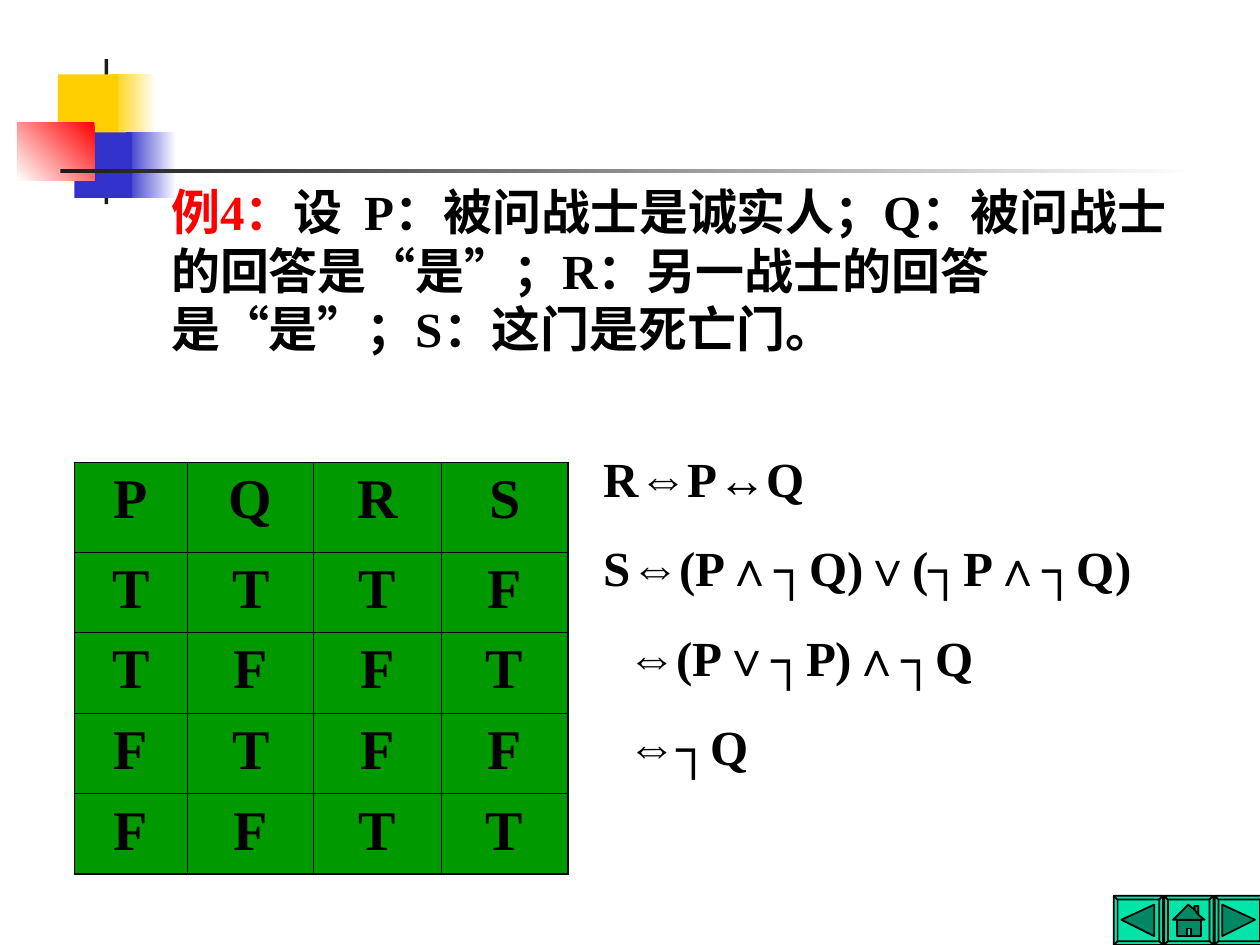
import copy
import pptx
import pptx.util
import pptx.dml.color
import pptx.enum.shapes
import pptx.enum.text
import pptx.oxml
import pptx.oxml.ns

Inches = pptx.util.Inches
Pt = pptx.util.Pt
qn = pptx.oxml.ns.qn

COLORS = {
    "white": "FFFFFF", "black": "000000", "ink": "1C1C1C", "yellow": "FFCF01",
    "blue": "3333CC", "red": "FF0000", "green": "009900", "mint": "00E4A8",
}
SERIF, SYMBOL = "Times New Roman", "Arial"

DECORATION = [
    ((0.88, 0.59, 0.36, 0.52), ("yellow", "white"), 0),
    ((1.0, 1.05, 0.4, 0.52), ("blue", "white"), 0),
    ((0.83, 0.47, 0.03, 1.15), ("ink",), 0),
    ((0.46, 0.59, 0.48, 0.52), ("yellow",), 0),
    ((0.59, 1.05, 0.46, 0.52), ("blue",), 0),
    ((0.14, 0.97, 0.61, 0.46), ("red", "white"), 225),
    ((0.48, 1.34, 9.0, 0.03), ("ink", "white"), 0),
]

PREMISES = [
    ("例4：", "red"),
    ("设  P：被问战士是诚实人；Q：被问战士的回答是“是”；R：另一战士的回答是“是”；S：这门是死亡门。", "black"),
]

TRUTH_TABLE = ["PQRS", "TTTF", "TFFT", "FTFF", "FFTT"]
COLUMN_WIDTHS = [0.9, 1.0, 1.01, 1.01]
ROW_HEIGHTS = [0.71] + [0.64] * 4
OUTER_BORDER, INNER_BORDER = 1.08, 0.45

FORMULAS = [
    (0, ["R", "⇔", "P", "↔", "Q"]),
    (0, ["S", "⇔", "(P∧┐Q)∨(┐P∧┐Q)"]),
    (0.19, ["⇔", "(P∨┐P)∧┐Q"]),
    (0.19, ["⇔", "┐Q"]),
]

BUTTON_LEFT, BUTTON_TOP, BUTTON_STEP = 8.84, 7.11, 0.4
BUTTON_SIZE, BEVEL = 0.39, 0.03
BUTTON_ICONS = [
    [("darken", [(0.06, 0.19), (0.32, 0.07), (0.32, 0.32)])],
    [
        ("darken", [(0.19, 0.07), (0.24, 0.11), (0.24, 0.08), (0.27, 0.08), (0.27, 0.15),
                    (0.32, 0.19), (0.07, 0.19)]),
        ("darken", [(0.24, 0.11), (0.24, 0.08), (0.27, 0.08), (0.27, 0.15)]),
        ("darken", [(0.1, 0.19), (0.29, 0.19), (0.29, 0.32), (0.1, 0.32)]),
        ("norm", [(0.18, 0.26), (0.21, 0.26), (0.21, 0.32), (0.18, 0.32)]),
    ],
    [("darken", [(0.06, 0.07), (0.32, 0.19), (0.06, 0.32)])],
]


def rgb(name):
    return pptx.dml.color.RGBColor.from_string(COLORS[name])


def add_span(para, text, size, color="black", font=SERIF):
    span = para.add_run()
    span.text = text
    span.font.size = Pt(size)
    span.font.name = font
    span.font.bold = True
    span.font.color.rgb = rgb(color)


def add_text_box(page, place):
    box = page.shapes.add_textbox(*map(Inches, place))
    box.text_frame.word_wrap = True
    return box.text_frame


def add_block(page, place, names, angle):
    block = page.shapes.add_shape(pptx.enum.shapes.MSO_SHAPE.RECTANGLE, *map(Inches, place))
    block.shadow.inherit = False
    block.line.fill.background()
    if len(names) == 1:
        block.fill.solid()
        block.fill.fore_color.rgb = rgb(names[0])
        return
    block.fill.gradient()
    block.fill.gradient_angle = angle
    for stop, name, position in zip(block.fill.gradient_stops, names, (0, 1)):
        stop.color.rgb = rgb(name)
        stop.position = position


def button_outlines():
    near, far = BEVEL, BUTTON_SIZE - BEVEL
    outer = [(0, 0), (BUTTON_SIZE, 0), (BUTTON_SIZE, BUTTON_SIZE), (0, BUTTON_SIZE)]
    inner = [(near, near), (far, near), (far, far), (near, far)]
    sides = [[outer[i - 1], outer[i], inner[i], inner[i - 1]] for i in range(4)]
    return [("norm", outline) for outline in [outer] + sides]


def add_button(page, left, top, icon):
    outlines = button_outlines() + icon
    builder = None
    for shade, outline in outlines:
        points = [(Inches(left + x), Inches(top + y)) for x, y in outline]
        if builder is None:
            builder = page.shapes.build_freeform(*points[0])
        else:
            builder.move_to(*points[0])
        builder.add_line_segments(points[1:], close=True)
    button = builder.convert_to_shape()
    button.shadow.inherit = False
    button.fill.solid()
    button.fill.fore_color.rgb = rgb("mint")
    button.line.color.rgb = rgb("black")
    button.line.width = Pt(1)
    split_outlines(button, [shade for shade, outline in outlines])


def split_outlines(button, shades):
    whole = next(button._element.iter(qn("a:path")))
    holder = whole.getparent()
    steps = list(whole)
    for step in steps:
        whole.remove(step)
    empty = copy.deepcopy(whole)
    holder.remove(whole)
    remaining = iter(shades)
    for step in steps:
        if step.tag == qn("a:moveTo"):
            part = copy.deepcopy(empty)
            part.set("fill", next(remaining))
            holder.append(part)
        part.append(step)


def add_border(cell, side, width):
    cell._tc.get_or_add_tcPr().append(pptx.oxml.parse_xml(
        f'<a:{side} {pptx.oxml.ns.nsdecls("a")} w="{int(Pt(width))}"><a:solidFill>'
        f'<a:srgbClr val="{COLORS["black"]}"/></a:solidFill></a:{side}>'))


def add_truth_table(page, left, top):
    row_count, column_count = len(ROW_HEIGHTS), len(COLUMN_WIDTHS)
    table = page.shapes.add_table(
        row_count, column_count, Inches(left), Inches(top),
        Inches(sum(COLUMN_WIDTHS)), Inches(sum(ROW_HEIGHTS))).table
    table.first_row = table.horz_banding = False
    for column, width in zip(table.columns, COLUMN_WIDTHS):
        column.width = Inches(width)
    for r, values in enumerate(TRUTH_TABLE):
        table.rows[r].height = Inches(ROW_HEIGHTS[r])
        for c, value in enumerate(values):
            cell = table.cell(r, c)
            edges = {"lnL": c == 0, "lnR": c == column_count - 1,
                     "lnT": r == 0, "lnB": r == row_count - 1}
            for side, is_outer in edges.items():
                add_border(cell, side, OUTER_BORDER if is_outer else INNER_BORDER)
            cell.fill.solid()
            cell.fill.fore_color.rgb = rgb("green")
            para = cell.text_frame.paragraphs[0]
            para.alignment = pptx.enum.text.PP_ALIGN.CENTER
            add_span(para, value, 32)


def add_premises(page):
    para = add_text_box(page, (1.06, 1.39, 8.35, 1.5)).paragraphs[0]
    para._p.get_or_add_pPr().set("marL", str(Inches(0.2)))
    for text, color in PREMISES:
        add_span(para, text, 28, color)


def add_formulas(page):
    frame = add_text_box(page, (4.69, 3.51, 4.89, 2.7))
    for i, (indent, parts) in enumerate(FORMULAS):
        para = frame.add_paragraph() if i else frame.paragraphs[0]
        if i:
            para.space_before = Pt(17.5)
        para._p.get_or_add_pPr().set("marL", str(Inches(indent)))
        for part in parts:
            add_span(para, part, 28, font=SYMBOL if part in "⇔↔" else SERIF)


def main():
    deck = pptx.Presentation()
    deck.slide_width, deck.slide_height = Inches(10), Inches(7.5)
    page = deck.slides.add_slide(deck.slide_layouts[6])
    for place, names, angle in DECORATION:
        add_block(page, place, names, angle)
    for i, icon in enumerate(BUTTON_ICONS):
        add_button(page, BUTTON_LEFT + i * BUTTON_STEP, BUTTON_TOP, icon)
    add_premises(page)
    add_truth_table(page, 0.59, 3.67)
    add_formulas(page)
    deck.save("out.pptx")


if __name__ == "__main__":
    main()
